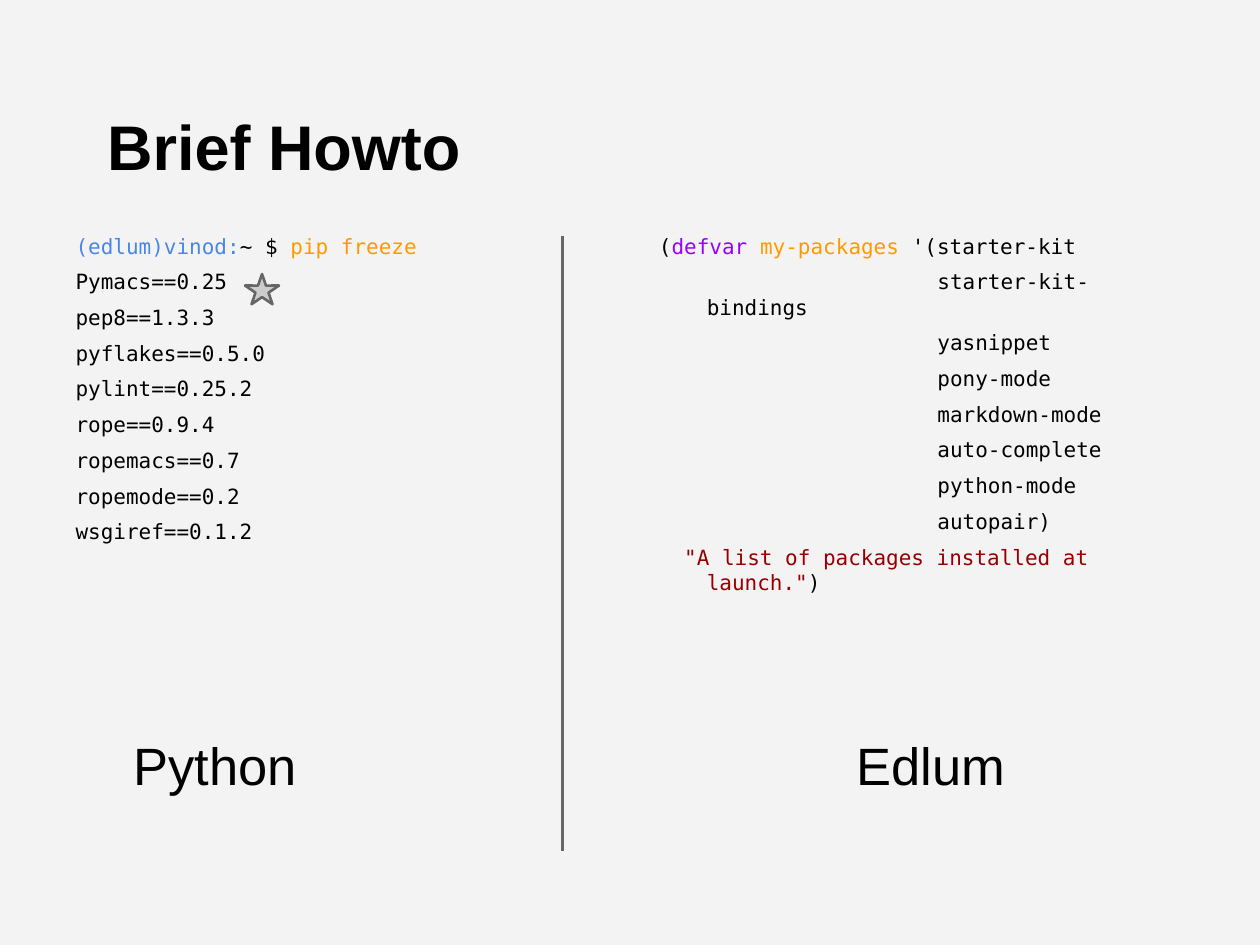
import pptx
import pptx.dml.color
import pptx.enum.shapes
import pptx.enum.text
import pptx.oxml.ns
import pptx.util

BLACK, GREY, ORANGE = "000000", "666666", "FF9900"
HANGING = 0.38


def rgb(value):
    return pptx.dml.color.RGBColor.from_string(value)


def write(paragraph, text, *, font, size, color=BLACK, bold=False):
    run = paragraph.add_run()
    run.text = text
    run.font.name, run.font.size, run.font.bold = font, pptx.util.Pt(size), bold
    run.font.color.rgb = rgb(color)


def append_empty(properties, tag):
    properties.append(properties.makeelement(pptx.oxml.ns.qn(tag), {}))


def indent(paragraph, left, first):
    properties = paragraph._p.get_or_add_pPr()
    properties.set("marL", str(pptx.util.Inches(left)))
    properties.set("indent", str(pptx.util.Inches(first - left)))
    append_empty(properties, "a:buNone")


class HowtoSlide:
    """Holds the style and the slide, on a grid of 100 columns by 75 rows."""

    heading_font, code_font = "Arial", "DejaVu Sans Mono"

    def __init__(self, deck, background):
        self.column, self.row = deck.slide_width / 100, deck.slide_height / 75
        self.slide = deck.slides.add_slide(deck.slide_layouts.get_by_name("Two Content"))
        self.slide.background.fill.solid()
        self.slide.background.fill.fore_color.rgb = rgb(background)

    def area(self, left, top, width, height):
        return (round(left * self.column), round(top * self.row),
                round(width * self.column), round(height * self.row))

    def frame(self, shape, anchor=pptx.enum.text.MSO_ANCHOR.TOP):
        frame = shape.text_frame
        frame.word_wrap, frame.vertical_anchor = True, anchor
        frame.auto_size = pptx.enum.text.MSO_AUTO_SIZE.NONE
        frame.margin_left = frame.margin_right = pptx.util.Inches(0.1)
        frame.margin_top = frame.margin_bottom = pptx.util.Inches(0.1)
        return frame

    def place(self, index, area, **options):
        holder = self.slide.placeholders[index]
        holder.left, holder.top, holder.width, holder.height = self.area(*area)
        return self.frame(holder, **options)

    def title(self, text, *area):
        frame = self.place(0, area, anchor=pptx.enum.text.MSO_ANCHOR.BOTTOM)
        heading = frame.paragraphs[0]
        heading.alignment = pptx.enum.text.PP_ALIGN.LEFT
        indent(heading, 0, 0.25)
        write(heading, text, font=self.heading_font, size=36, bold=True)

    def code(self, index, lines, *area):
        frame = self.place(index, area)
        for number, (first, pieces) in enumerate(lines):
            line = frame.add_paragraph() if number else frame.paragraphs[0]
            line.space_before = pptx.util.Pt(6)
            indent(line, HANGING, first)
            for text, color in pieces:
                write(line, text, font=self.code_font, size=12, color=color)

    def caption(self, text, *area):
        frame = self.frame(self.slide.shapes.add_textbox(*self.area(*area)))
        write(frame.paragraphs[0], text, font=self.heading_font, size=30)

    def outline(self, shape):
        shape.line.color.rgb, shape.line.width = rgb(GREY), pptx.util.Pt(1.5)

    def star(self, *area):
        star = self.slide.shapes.add_shape(
            pptx.enum.shapes.MSO_SHAPE.STAR_5_POINT, *self.area(*area))
        star.shadow.inherit = False
        star.fill.solid()
        star.fill.fore_color.rgb = rgb("CCCCCC")
        self.outline(star)

    def divider(self, column, top, bottom):
        left, start, _, end = self.area(column, top, 0, bottom)
        divider = self.slide.shapes.add_connector(
            pptx.enum.shapes.MSO_CONNECTOR.STRAIGHT, left, start, left, end)
        self.outline(divider)
        append_empty(divider._element.spPr, "a:effectLst")


def plain(names, first=0):
    return [(first, [(name, BLACK)]) for name in names]


def main():
    requirements = ["Pymacs==0.25", "pep8==1.3.3", "pyflakes==0.5.0", "pylint==0.25.2",
                    "rope==0.9.4", "ropemacs==0.7", "ropemode==0.2", "wsgiref==0.1.2"]
    packages = ["starter-kit-bindings", "yasnippet", "pony-mode", "markdown-mode",
                "auto-complete", "python-mode", "autopair)"]
    prompt = [("(edlum)vinod:", "4A86E8"), ("~ $ ", BLACK), ("pip freeze", ORANGE)]
    definition = [("(", BLACK), ("defvar ", "9900FF"), ("my-packages", ORANGE),
                  (" '(starter-kit", BLACK)]
    description = [('"A list of packages installed at launch."', "980000"), (")", BLACK)]

    deck = pptx.Presentation()
    deck.slide_width, deck.slide_height = pptx.util.Inches(10), pptx.util.Inches(7.5)
    howto = HowtoSlide(deck, "F3F3F3")
    howto.title("Brief Howto", 5, 3, 90, 12.5)
    howto.code(1, [(0, prompt)] + plain(requirements), 5, 17.5, 43.7, 54.3)
    howto.code(2, [(0, definition)] + plain(packages, first=2.21) + [(0.2, description)],
               51.3, 17.5, 43.7, 54.3)
    howto.star(19.45, 21.75, 2.7, 2.4)
    howto.caption("Python", 9.6, 57.2, 29.8, 10.9)
    howto.caption("Edlum", 67, 57.2, 20.5, 8)
    howto.divider(44.65, 18.7, 67.5)
    deck.save("out.pptx")


if __name__ == "__main__":
    main()
